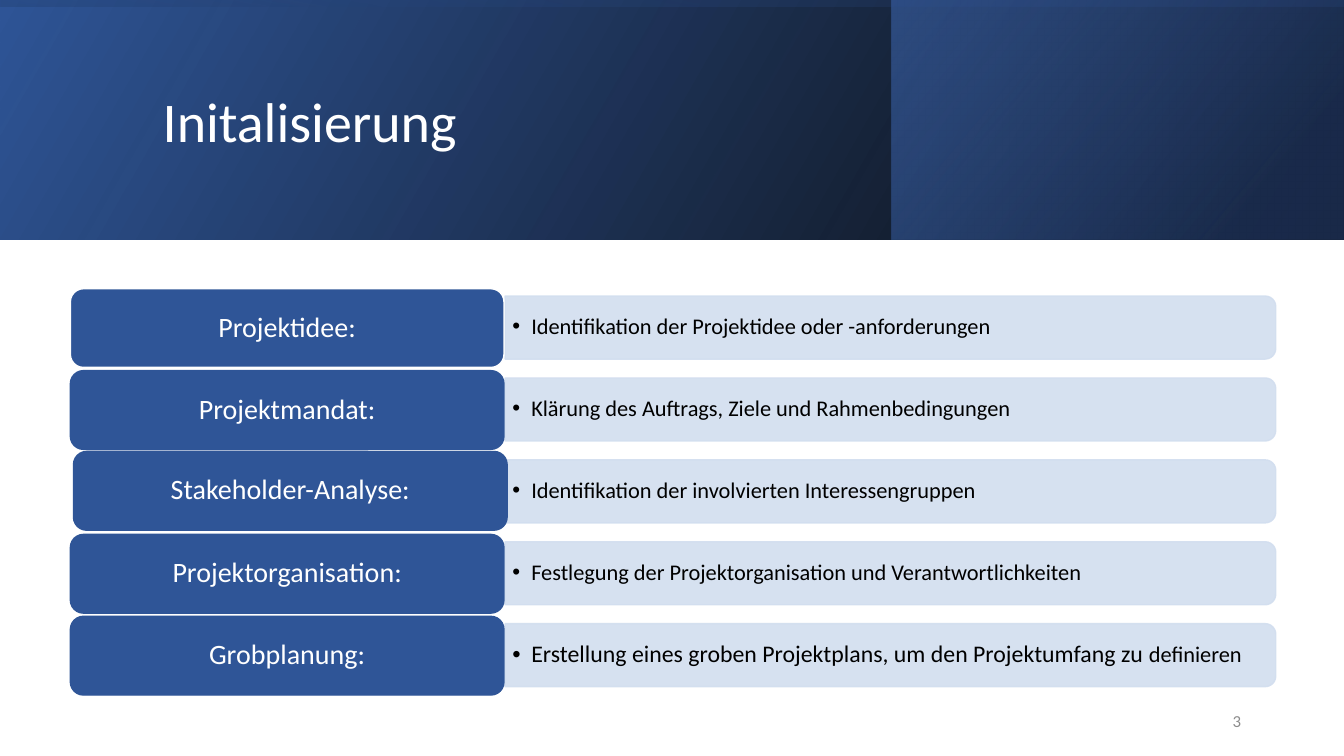
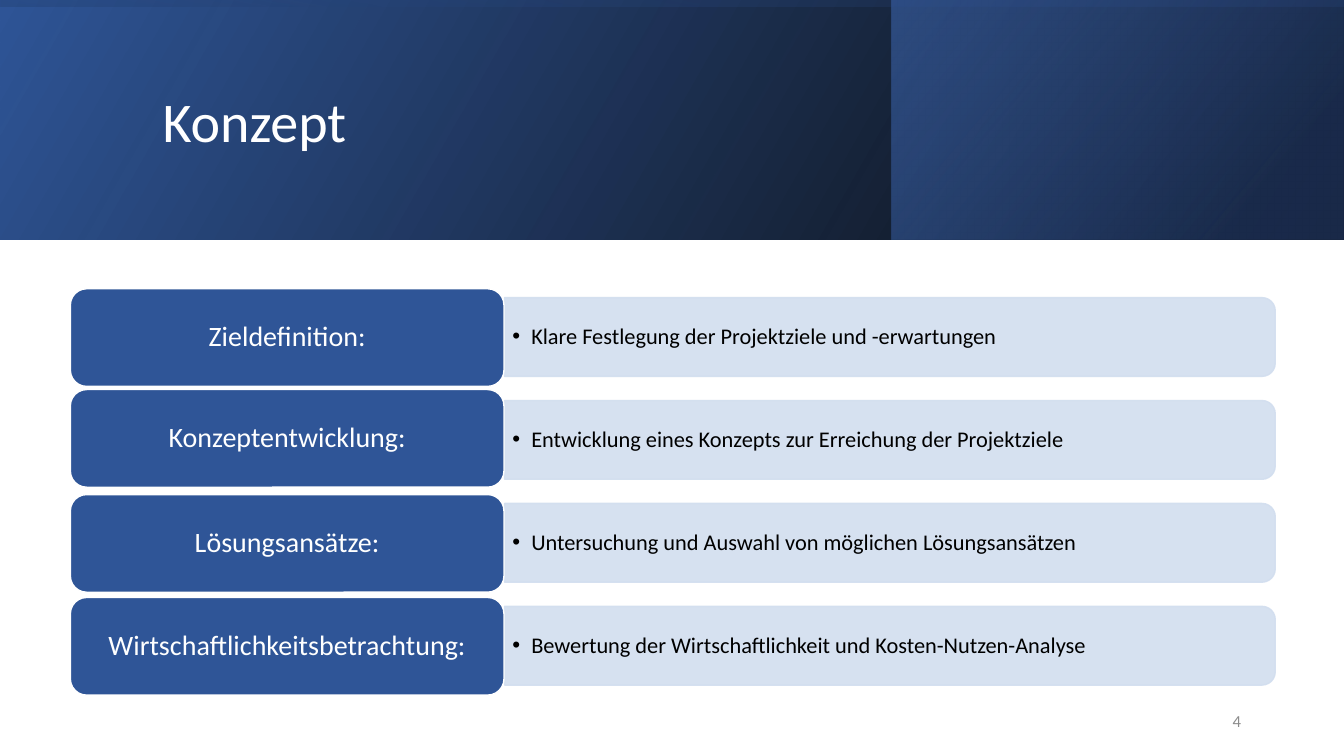
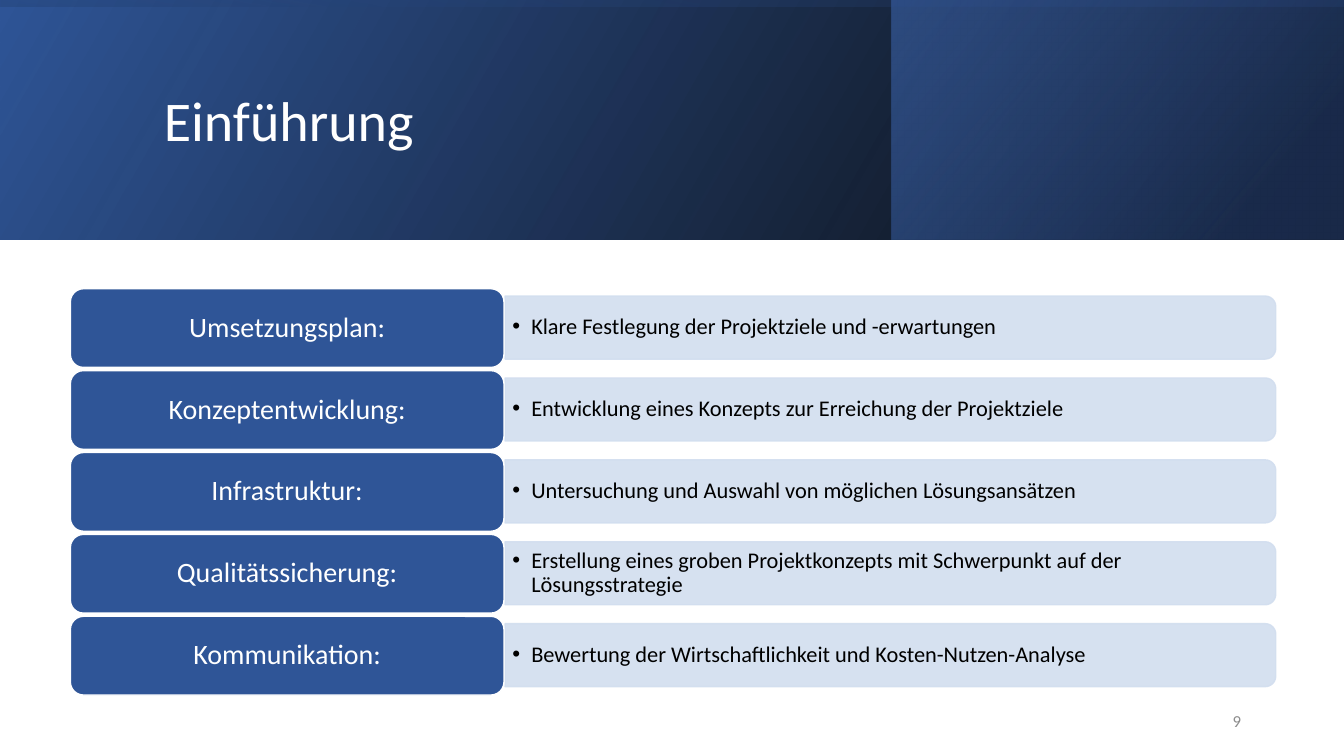
from dataclasses import dataclass

from lxml.etree import SubElement
from pptx import Presentation
from pptx.dml.color import RGBColor
from pptx.enum.shapes import MSO_SHAPE
from pptx.enum.text import MSO_ANCHOR, PP_ALIGN
from pptx.oxml.ns import qn
from pptx.util import Pt

PX = 9525


@dataclass(frozen=True)
class Theme:
    font: str = "Calibri"
    white: str = "FFFFFF"
    black: str = "000000"
    blue: str = "2F5597"
    navy: str = "203864"
    bright: str = "4472C4"
    pale: str = "D2DEEF"
    grey: str = "8C8C8C"
    title_size: int = 40
    label_size: int = 20
    detail_size: int = 16
    detail_large: int = 17
    number_size: int = 12


theme = Theme()

text_formats = {
    "title": {
        "insets": (10, 5), "size": theme.title_size, "color": theme.white,
        "paragraph": {"alignment": PP_ALIGN.LEFT, "line_spacing": 0.9},
    },
    "label": {
        "insets": (12, 8), "size": theme.label_size, "color": theme.white,
        "paragraph": {"alignment": PP_ALIGN.CENTER, "line_spacing": 0.9},
    },
    "detail": {
        "insets": (7, 3), "size": theme.detail_size, "color": theme.black,
        "paragraph": {"alignment": PP_ALIGN.LEFT, "line_spacing": 0.9},
    },
    "number": {
        "insets": (10, 5), "size": theme.number_size, "color": theme.grey,
        "paragraph": {"alignment": PP_ALIGN.RIGHT},
    },
}

bands = [
    {"box": (0, 0, 1280, 228), "rotation": 0, "angle": 30,
     "stops": [(0, theme.black, 96), (1, theme.blue, 100)]},
    {"box": (849, 0, 430, 228), "rotation": 0, "angle": 40,
     "stops": [(0.19, theme.navy, 68), (1, theme.bright, 48)]},
    {"box": (526, -526, 228, 1280), "rotation": 270, "angle": 10,
     "stops": [(0.23, theme.blue, 16), (0.99, theme.black, 45)]},
]

tight_rows = {"first": 312, "pitch": 78, "bar": 60, "label": 75}
wide_rows = {"first": 321, "pitch": 98, "bar": 75, "label": 93}
BAR_LEFT, BAR_LENGTH = 481, 734
LABEL_LEFT, LABEL_WIDTH = 67, 413

phases = [
    {"title": "Initalisierung", "title_at": (145, 36), "number": "3", "rows": tight_rows,
     "outlines": [theme.white] + [theme.blue] * 4, "nudges": {2: (3, -1)},
     "steps": [
         ("Projektidee:", "Identifikation der Projektidee oder -anforderungen"),
         ("Projektmandat:", "Klärung des Auftrags, Ziele und Rahmenbedingungen"),
         ("Stakeholder-Analyse:", "Identifikation der involvierten Interessengruppen"),
         ("Projektorganisation:", "Festlegung der Projektorganisation und Verantwortlichkeiten"),
         ("Grobplanung:", [
             ("Erstellung eines groben Projektplans, um den Projektumfang zu ", theme.detail_large),
             ("definieren", theme.detail_size)]),
     ]},
    {"title": "Konzept", "title_at": (145, 36), "number": "4", "rows": wide_rows,
     "outlines": [theme.white] * 4, "nudges": {1: (0, -2)},
     "steps": [
         ("Zieldefinition:", "Klare Festlegung der Projektziele und -erwartungen"),
         ("Konzeptentwicklung:", "Entwicklung eines Konzepts zur Erreichung der Projektziele"),
         ("Lösungsansätze:", "Untersuchung und Auswahl von möglichen Lösungsansätzen"),
         ("Wirtschaftlichkeitsbetrachtung:",
          "Bewertung der Wirtschaftlichkeit und Kosten-Nutzen-Analyse"),
     ]},
    {"title": "Einführung", "title_at": (146, 35), "number": "9", "rows": tight_rows,
     "outlines": [theme.white] * 5, "nudges": {},
     "steps": [
         ("Umsetzungsplan:", "Klare Festlegung der Projektziele und -erwartungen"),
         ("Konzeptentwicklung:", "Entwicklung eines Konzepts zur Erreichung der Projektziele"),
         ("Infrastruktur:", "Untersuchung und Auswahl von möglichen Lösungsansätzen"),
         ("Qualitätssicherung:",
          "Erstellung eines groben Projektkonzepts mit Schwerpunkt auf der Lösungsstrategie"),
         ("Kommunikation:", "Bewertung der Wirtschaftlichkeit und Kosten-Nutzen-Analyse"),
     ]},
]


def place(slide, box, preset=None):
    lengths = [value * PX for value in box]
    if preset is None:
        return slide.shapes.add_textbox(*lengths)
    shape = slide.shapes.add_shape(preset, *lengths)
    shape.shadow.inherit = False
    return shape


def write(shape, content, style):
    chosen = text_formats[style]
    across, down = (value * PX for value in chosen["insets"])
    frame = shape.text_frame
    frame_values = {
        "word_wrap": True, "vertical_anchor": MSO_ANCHOR.MIDDLE,
        "margin_left": across, "margin_right": across,
        "margin_top": down, "margin_bottom": down,
    }
    paragraph = frame.paragraphs[0]
    for target, values in ((frame, frame_values), (paragraph, chosen["paragraph"])):
        for attribute, value in values.items():
            setattr(target, attribute, value)
    pieces = [(content, chosen["size"])] if isinstance(content, str) else content
    for words, size in pieces:
        run = paragraph.add_run()
        run.text = words
        for attribute, value in {"name": theme.font, "size": Pt(size)}.items():
            setattr(run.font, attribute, value)
        run.font.color.rgb = RGBColor.from_string(chosen["color"])
    return paragraph


deck = Presentation()
deck.slide_width, deck.slide_height = 1280 * PX, 720 * PX

for phase in phases:
    slide = deck.slides.add_slide(deck.slide_layouts[6])
    translucent = []

    for band in bands:
        panel = place(slide, band["box"], MSO_SHAPE.RECTANGLE)
        panel.rotation = band["rotation"]
        panel._element.spPr.xfrm.set("flipH", "1")
        panel.line.fill.background()
        panel.fill.gradient()
        panel.fill.gradient_angle = band["angle"]
        for stop, (position, color, _) in zip(panel.fill.gradient_stops, band["stops"]):
            stop.position = position
            stop.color.rgb = RGBColor.from_string(color)
        translucent.append((panel, [opacity for _, _, opacity in band["stops"]]))

    write(place(slide, (*phase["title_at"], 1020, 165)), phase["title"], "title")

    rows = phase["rows"]
    for index, (label_text, detail_text) in enumerate(phase["steps"]):
        middle = rows["first"] + index * rows["pitch"]
        thickness = rows["bar"]
        bar = place(
            slide,
            (BAR_LEFT + (BAR_LENGTH - thickness) // 2, middle - BAR_LENGTH // 2,
             thickness, BAR_LENGTH),
            MSO_SHAPE.ROUND_2_SAME_RECTANGLE)
        bar.rotation = 90
        translucent.append((bar, [90, 90]))

        detail_height = thickness - 6
        detail = place(slide, (BAR_LEFT, middle - detail_height // 2, 731, detail_height))
        properties = write(detail, detail_text, "detail")._p.get_or_add_pPr()
        properties.set("marL", str(18 * PX))
        properties.set("indent", str(-18 * PX))
        SubElement(properties, qn("a:buFont"), typeface="Arial")
        SubElement(properties, qn("a:buChar"), char="•")

        shift_x, shift_y = phase["nudges"].get(index, (0, 0))
        label = place(
            slide,
            (LABEL_LEFT + shift_x, middle - rows["label"] // 2 + shift_y,
             LABEL_WIDTH, rows["label"]),
            MSO_SHAPE.ROUNDED_RECTANGLE)
        write(label, label_text, "label")

        for part, fill, outline in ((bar, theme.pale, theme.pale),
                                    (label, theme.blue, phase["outlines"][index])):
            part.fill.solid()
            part.fill.fore_color.rgb = RGBColor.from_string(fill)
            part.line.color.rgb = RGBColor.from_string(outline)
            part.line.width = Pt(1)

    for part, opacities in translucent:
        for color, opacity in zip(part._element.spPr.iter(qn("a:srgbClr")), opacities):
            SubElement(color, qn("a:alpha"), val=str(opacity * 1000))

    write(place(slide, (904, 667, 288, 38)), phase["number"], "number")

deck.save("out.pptx")
